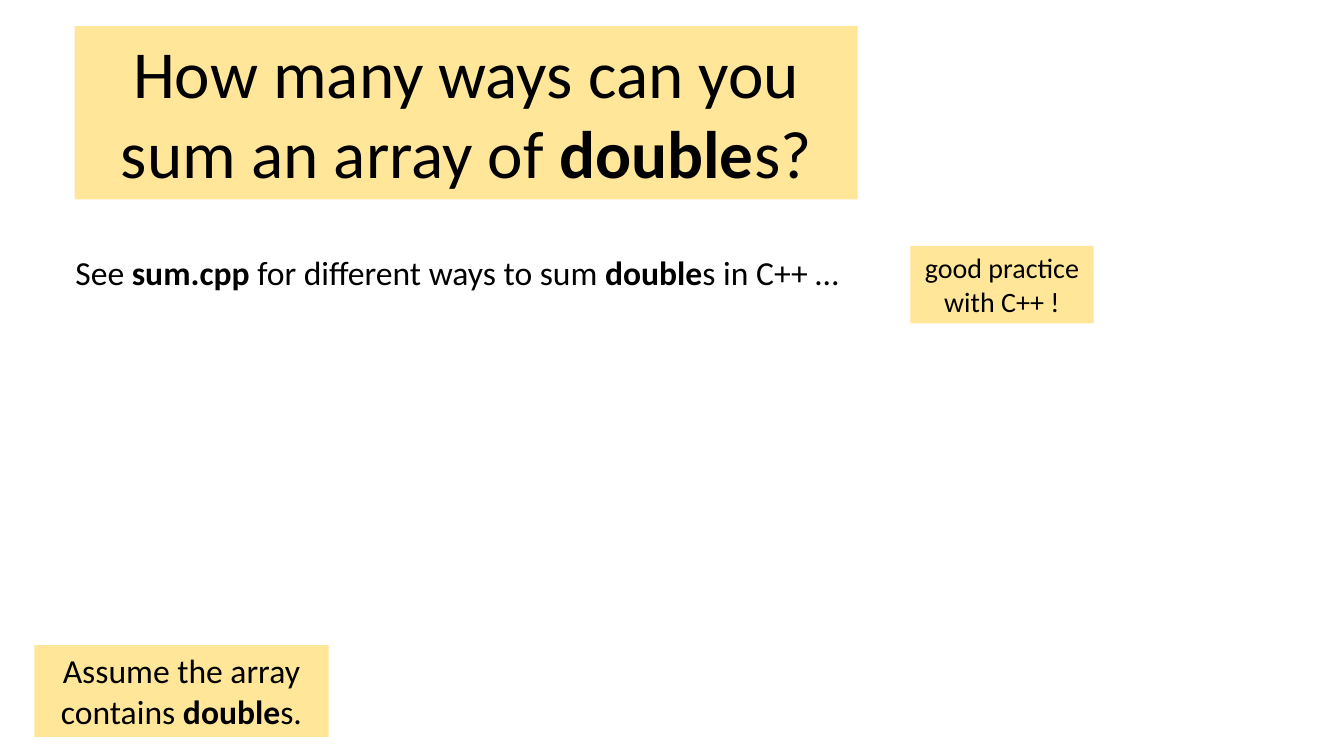
import pptx
import pptx.util
import pptx.dml.color
import pptx.enum.text
from dataclasses import dataclass

Pt = pptx.util.Pt
Align = pptx.enum.text.PP_ALIGN


# Colours and type sizes
@dataclass(frozen=True)
class Theme:
    font: str = "Calibri"
    ink: str = "000000"
    panel: str = "FFE699"
    title: int = 48
    body: int = 24
    note: int = 20


theme = Theme()
color = pptx.dml.color.RGBColor.from_string

deck = pptx.Presentation()
deck.slide_width, deck.slide_height = Pt(960), Pt(540)
page = deck.slides.add_slide(deck.slide_layouts[6])


def add_text(left, top, width, height, size, spans, filled=True):
    """Add a text box; each span is a pair of text and bold."""
    box = page.shapes.add_textbox(Pt(left), Pt(top), Pt(width), Pt(height))
    if filled:
        box.fill.solid()
        box.fill.fore_color.rgb = color(theme.panel)
    frame = box.text_frame
    frame.word_wrap = filled
    frame.auto_size = pptx.enum.text.MSO_AUTO_SIZE.SHAPE_TO_FIT_TEXT
    para = frame.paragraphs[0]
    para.alignment = Align.CENTER if filled else Align.LEFT
    for text, bold in spans:
        span = para.add_run()
        span.text = text
        span.font.name = theme.font
        span.font.size = Pt(size)
        span.font.bold = bold
        span.font.color.rgb = color(theme.ink)


# Side note
add_text(650.2, 175.7, 131, 55.4, theme.note,
         [("good practice with C++ !", False)])

# Title
add_text(53.3, 18.7, 559.4, 123.8, theme.title,
         [("How many ways can you sum an array of ", False),
          ("double", True), ("s?", False)])

# Pointer to the source file
add_text(46.8, 176.4, 563.8, 36, theme.body,
         [("See ", False), ("sum.cpp ", True),
          ("for different ways to sum ", False),
          ("double", True), ("s in C++ …", False)], filled=False)

# Assumption
add_text(24.5, 460.8, 210.2, 65.5, theme.body,
         [("Assume the array contains ", False),
          ("double", True), ("s.", False)])

deck.save("out.pptx")
